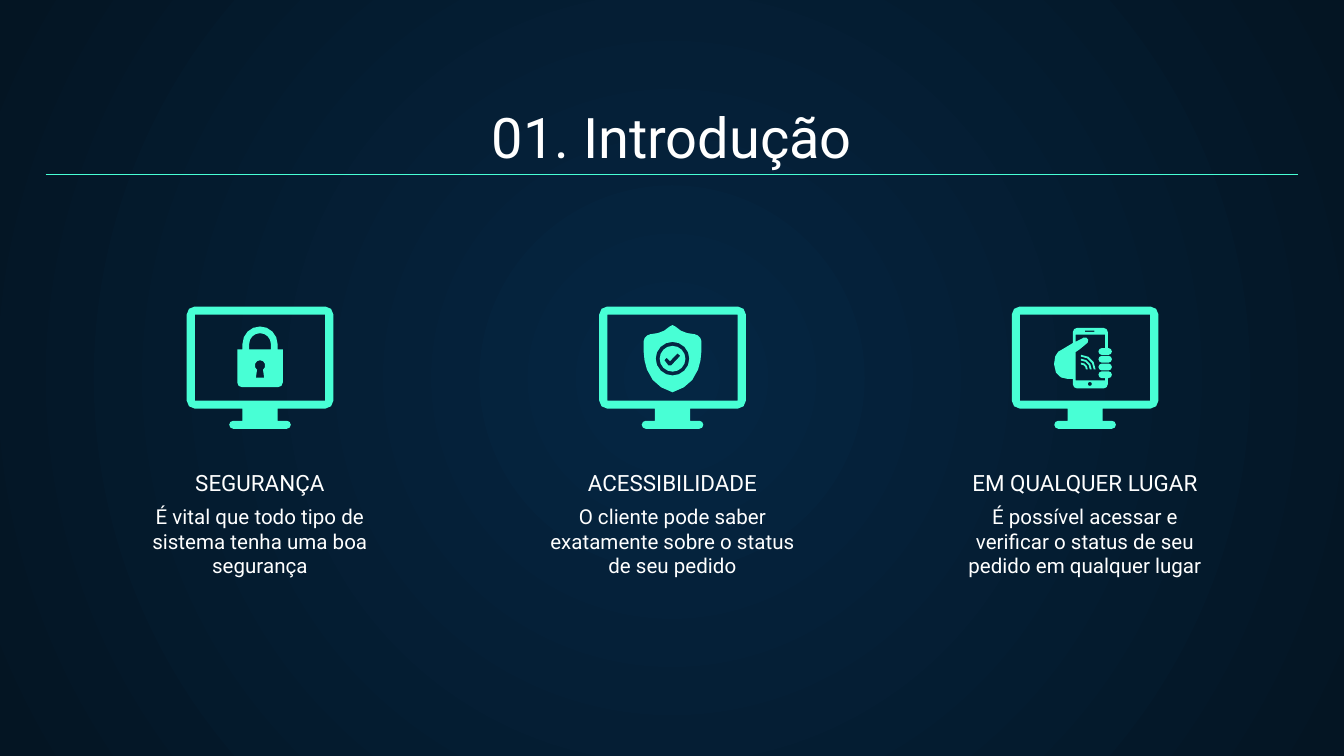
from math import cos, radians, sin

from pptx import Presentation
from pptx import util as u
from pptx.dml.color import RGBColor
from pptx.enum import shapes, text
from pptx.oxml import parse_xml
from pptx.oxml.ns import nsdecls, qn

Pt = u.Pt
WHITE = RGBColor(0xFF, 0xFF, 0xFF)
MINT = RGBColor(0x48, 0xFF, 0xD5)
NAVY = RGBColor(0x05, 0x26, 0x43)
MIDNIGHT = RGBColor(0x04, 0x15, 0x23)
FONT = "Roboto"

TITLE = "01. Introdução"
TOPICS = [
    ("SEGURANÇA", "É vital que todo tipo de sistema tenha uma boa segurança", "lock"),
    ("ACESSIBILIDADE", "O cliente pode saber exatamente sobre o status de seu pedido", "shield"),
    ("EM QUALQUER LUGAR", "É possível acessar e verificar o status de seu pedido em qualquer lugar", "phone"),
]

WIDTH, HEIGHT = 720, 405
MARGIN = 24.5
PITCH = 221
HEADING_WIDTH, CAPTION_WIDTH = 163.5, 149


def arc(x, y, radius, start, end, steps=2):
    """Points on a circle; angles run clockwise from the right."""
    angles = [radians(start + (end - start) * i / steps) for i in range(steps + 1)]
    return [(x + radius * cos(a), y + radius * sin(a)) for a in angles]


def circle(x, y, radius, steps=16):
    return arc(x, y, radius, 0, 360, steps)[:-1]


def corners(left, top, right, bottom, radius):
    """Four corner arcs: top left, top right, bottom right, bottom left."""
    l, t, r, b = left + radius, top + radius, right - radius, bottom - radius
    centres = [(l, t), (r, t), (r, b), (l, b)]
    return [arc(x, y, radius, 180 + 90 * i, 270 + 90 * i) for i, (x, y) in enumerate(centres)]


def rounded(*box):
    return sum(corners(*box), [])


def rectangle(l, t, r, b):
    return [(l, t), (r, t), (r, b), (l, b)]


def curve(p0, p1, p2, p3, steps=3):
    """Points on a cubic Bézier curve, without its end point."""
    return [
        tuple((1 - t)**3 * a + 3 * (1 - t)**2 * t * b + 3 * (1 - t) * t**2 * c + t**3 * d
              for a, b, c, d in zip(p0, p1, p2, p3))
        for t in (i / steps for i in range(steps))
    ]


# Each icon part is a list of contours: x from the column centre, y from the slide top.
def monitor():
    tl, tr, br, bl = corners(-39.3, 164.2, 39.3, 218.9, 4.3)
    base_tl, base_tr, base_br, base_bl = corners(-16.5, 225.4, 16.5, 229.7, 2.15)
    outline = (tl + tr + br + [(9.4, 218.9), (9.4, 225.4)] + base_tr + base_br
               + base_bl + base_tl + [(-9.4, 225.4), (-9.4, 218.9)] + bl)
    return [[outline, rectangle(-34.9, 168.5, 34.9, 214.6)]]


def lock():
    _, _, br, bl = corners(-12.2, 187.2, 12.2, 207.4, 2.5)
    outline = (arc(0, 184.3, 9.4, 180, 360, 8) + [(9.4, 187.2), (12.2, 187.2)]
               + br + bl + [(-12.2, 187.2), (-9.4, 187.2)])
    shackle = arc(0, 184.3, 5.8, 180, 360, 8) + [(5.8, 187.2), (-5.8, 187.2)]
    keyhole = arc(0, 195.8, 2.8, 125, 415, 8) + [(2.2, 202.3), (-2.2, 202.3)]
    return [[outline, shackle, keyhole]]


def shield():
    half = (curve((1.6, 175), (4.3, 177.8), (7.5, 178.7), (11.9, 179.1))
            + curve((11.9, 179.1), (13.9, 179.5), (15.3, 181), (15.5, 182.9))
            + curve((15.5, 182.9), (15.6, 188), (15.5, 193.5), (13.7, 198))
            + curve((13.7, 198), (11.2, 204.6), (7, 208), (0, 210.2)))
    outline = [(0, 174.2)] + half + [(0, 210.2)] + [(-x, y) for x, y in reversed(half)]
    check = [(2.6, 189.3), (4.2, 190.6), (-0.7, 195.8), (-2.2, 195.8),
             (-4.4, 193), (-3.2, 191.7), (-1.4, 193.5)]
    return [[outline, circle(0, 192.2, 9)], [circle(0, 192.2, 6.9), check]]


def phone():
    tl, tr, br, bl = corners(-6.5, 175.7, 12.2, 208.1, 2.2)
    thumb = [(-5, 183.1), (-1.4, 181.3)] + arc(0, 182.5, 1.8, -120, 40, 3) + [(-2.9, 187.2), (-5, 188.6)]
    palm = (curve((-9.4, 203), (-13, 203), (-16.6, 200.8), (-16.6, 195.1))
            + curve((-16.6, 195.1), (-16.6, 190), (-14.4, 187.9), (-12.2, 187.2)))
    outline = (tl + tr + [(12.2, 186.6), (10.8, 186.6), (10.8, 179.3), (-5, 179.3)] + thumb
               + [(-5, 203.8), (10.8, 203.8), (10.8, 202.5), (12.2, 202.5)]
               + br + bl + [(-6.5, 203)] + palm + [(-12.2, 187.2), (-6.5, 183.8)])
    fingers = [rounded(7.2, top, 14.4, top + 3.7, 1.85)
               for top in (186.5 + 4.15 * i for i in range(4))]
    waves = [arc(-2.2, 198, r, -90, 0, 3) + arc(-2.2, 198, r - 1, 0, -90, 3) for r in (7.9, 5.8, 3.7)]
    return [[outline, rectangle(0, 177.1, 5, 177.8), circle(2.6, 205.7, 1.1, 8)], fingers + waves]


ICONS = {"lock": lock, "shield": shield, "phone": phone}


def draw(slide, contours, centre):
    paths = [[(Pt(centre + x), Pt(y)) for x, y in contour] for contour in contours]
    builder = slide.shapes.build_freeform(*paths[0][0])
    for i, path in enumerate(paths):
        if i:
            builder.move_to(*path[0])
        builder.add_line_segments(path[1:], close=True)
    part = builder.convert_to_shape()
    part.shadow.inherit = False
    part.fill.solid()
    part.fill.fore_color.rgb = MINT
    part.line.fill.background()


def write(holder, words, *, box, size, anchor=text.MSO_ANCHOR.TOP):
    holder.left, holder.top, holder.width, holder.height = map(Pt, box)
    frame = holder.text_frame
    frame.word_wrap = True
    frame.auto_size = text.MSO_AUTO_SIZE.NONE
    frame.vertical_anchor = anchor
    frame.margin_left = frame.margin_right = frame.margin_top = frame.margin_bottom = Pt(7.2)
    paragraph = frame.paragraphs[0]
    paragraph.alignment = text.PP_ALIGN.CENTER
    run = paragraph.add_run()
    run.text = words
    run.font.name, run.font.size = FONT, Pt(size)
    run.font.color.rgb = WHITE


def paint_background(slide):
    fill = slide.background.fill
    fill.gradient()
    for stop, colour, position in zip(fill.gradient_stops, (NAVY, MIDNIGHT), (0, 1)):
        stop.color.rgb = colour
        stop.position = position
    linear = slide.element.find(".//" + qn("a:lin"))
    linear.getparent().replace(linear, parse_xml(
        f'<a:path {nsdecls("a")} path="circle">'
        '<a:fillToRect l="50000" t="50000" r="50000" b="50000"/></a:path>'))


def main():
    deck = Presentation()
    deck.slide_width, deck.slide_height = Pt(WIDTH), Pt(HEIGHT)
    slide = deck.slides.add_slide(deck.slide_layouts[5])
    paint_background(slide)
    bottom = text.MSO_ANCHOR.BOTTOM
    write(slide.shapes.title, TITLE, box=(MARGIN, 50.4, WIDTH - 2 * MARGIN, 47.5),
          size=30, anchor=bottom)

    for i, (heading, caption, icon) in enumerate(TOPICS):
        centre = WIDTH / 2 + 0.3 + (i - 1) * PITCH
        for contours in monitor() + ICONS[icon]():
            draw(slide, contours, centre)
        write(slide.shapes.add_textbox(0, 0, 0, 0), caption, size=11,
              box=(centre - CAPTION_WIDTH / 2, 262.8, CAPTION_WIDTH, 39.6))
        write(slide.shapes.add_textbox(0, 0, 0, 0), heading, size=12, anchor=bottom,
              box=(centre - HEADING_WIDTH / 2, 257.8, HEADING_WIDTH, 15.1))

    rule = slide.shapes.add_connector(shapes.MSO_CONNECTOR.STRAIGHT, Pt(MARGIN), Pt(93.6),
                                      Pt(WIDTH - MARGIN), Pt(93.6))
    rule.line.color.rgb, rule.line.width = MINT, Pt(0.75)
    rule._element.spPr.append(parse_xml(f'<a:effectLst {nsdecls("a")}/>'))
    deck.save("out.pptx")


if __name__ == "__main__":
    main()
